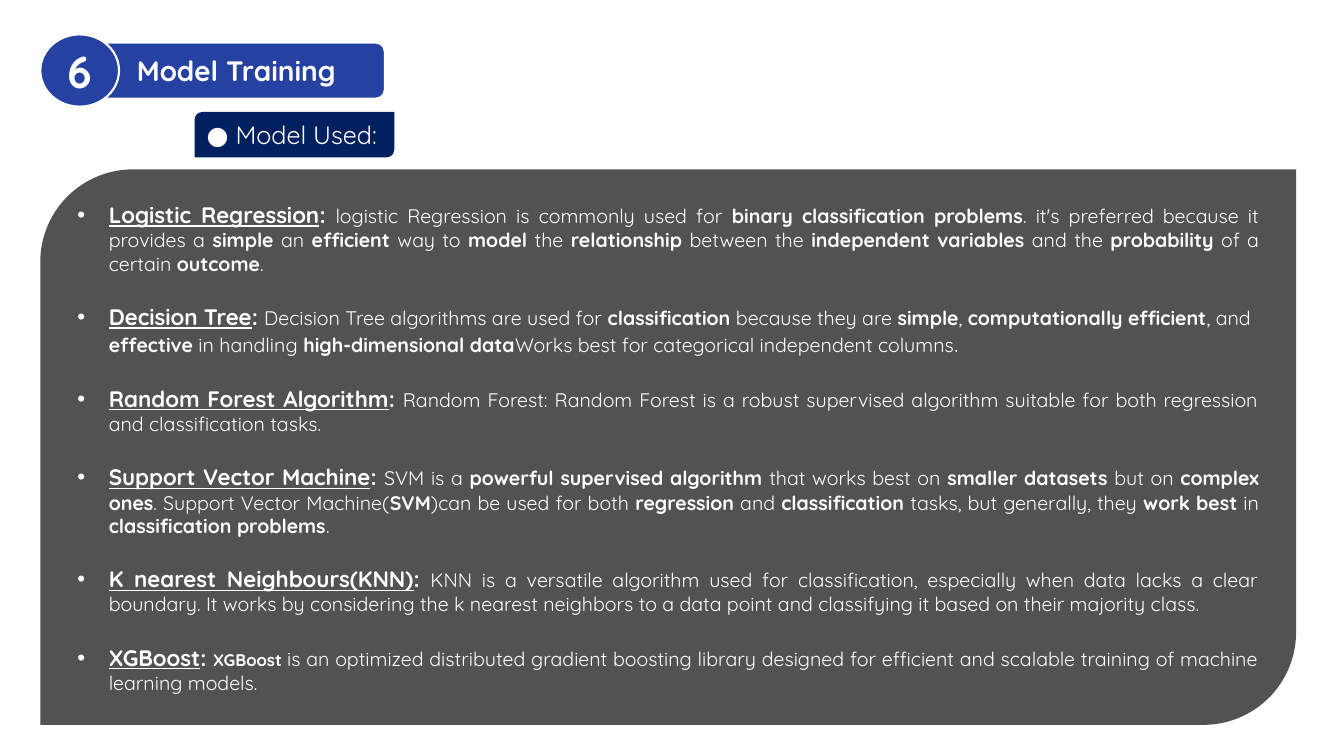
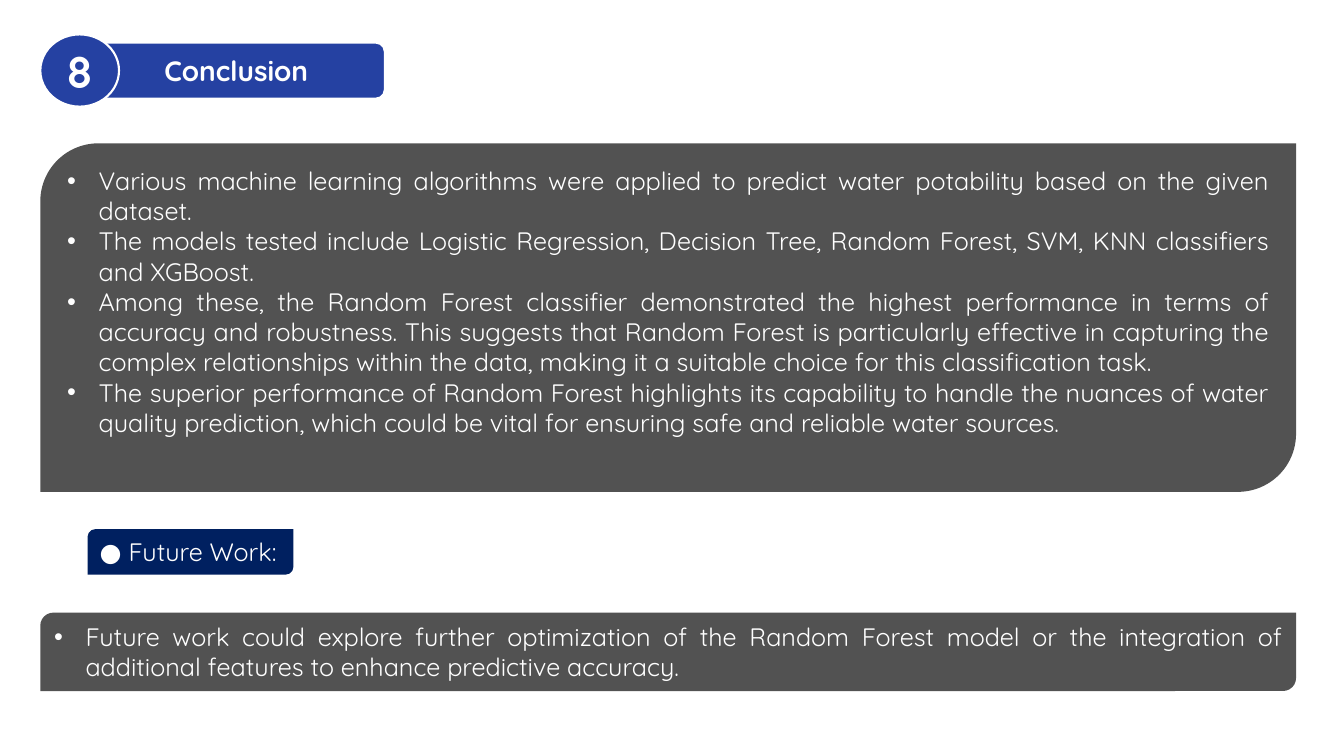
from pptx import Presentation
from pptx.dml.color import RGBColor
from pptx.enum.shapes import MSO_SHAPE
from pptx.enum.text import MSO_ANCHOR, PP_ALIGN
from pptx.oxml.ns import qn
from pptx.util import Pt
from lxml import etree

ROUND = MSO_SHAPE.ROUNDED_RECTANGLE
OVAL = MSO_SHAPE.OVAL
DIAGONAL = MSO_SHAPE.ROUND_2_DIAG_RECTANGLE
TOP, MIDDLE = MSO_ANCHOR.TOP, MSO_ANCHOR.MIDDLE
LEFT, CENTER, JUSTIFY = PP_ALIGN.LEFT, PP_ALIGN.CENTER, PP_ALIGN.JUSTIFY


def color(value):
    return RGBColor.from_string(value)


def set_values(target, values):
    for name, value in values.items():
        setattr(target, name, value)


class Deck:
    font = "Quicksand"
    white, blue, navy, gray = "FFFFFF", "2541A2", "002060", "525252"
    margin, panel_width = 28.8, 897
    indent = 22.5

    def __init__(self):
        self.presentation = Presentation()
        set_values(self.presentation, {"slide_width": Pt(960), "slide_height": Pt(540)})
        self.slide = None

    def add_slide(self, number, title):
        layout = self.presentation.slide_layouts[6]
        self.slide = self.presentation.slides.add_slide(layout)
        group = self.slide.shapes.add_group_shape()
        for kind, box, text, size in (
            (ROUND, (62.6, 30.4, 212.4, 40.2), title, 20),
            (OVAL, (self.margin, 24.6, 56.2, 51.6), number, 32),
        ):
            shape = self.shape(kind, box, self.blue, MIDDLE, group.shapes)
            shape.line.color.rgb = color(self.white)
            shape.line.width = Pt(1.5)
            paragraph = self.paragraph(shape, True, CENTER)
            self.run(paragraph, text, size, bold=True)

    def shape(self, kind, box, fill, anchor=TOP, shapes=None):
        shapes = shapes or self.slide.shapes
        shape = shapes.add_shape(kind, *map(Pt, box))
        shape.shadow.inherit = False
        shape.fill.solid()
        shape.fill.fore_color.rgb = color(fill)
        shape.line.fill.background()
        set_values(shape.text_frame, {"word_wrap": True, "vertical_anchor": anchor})
        return shape

    def paragraph(self, shape, first, alignment, gap=0):
        frame = shape.text_frame
        paragraph = frame.paragraphs[0] if first else frame.add_paragraph()
        set_values(paragraph, {"alignment": alignment, "space_after": Pt(gap)})
        return paragraph

    def run(self, paragraph, text, size, bold=False, underline=False):
        run = paragraph.add_run()
        run.text = text
        set_values(run.font, {"name": self.font, "size": Pt(size), "bold": bold,
                              "underline": underline})
        run.font.color.rgb = color(self.white)

    def bullet(self, paragraph):
        properties = paragraph._p.get_or_add_pPr()
        properties.set("marL", str(Pt(self.indent)))
        properties.set("indent", str(-Pt(self.indent)))
        etree.SubElement(properties, qn("a:buFont")).set("typeface", "Arial")
        etree.SubElement(properties, qn("a:buChar")).set("char", "•")

    def label(self, text, left, top, width):
        shape = self.shape(DIAGONAL, (left, top, width, 32.4), self.navy)
        self.run(self.paragraph(shape, True, LEFT), f"● {text}", 18)

    def panel(self, top, height, items, gap=0):
        box = (self.margin, top, self.panel_width, height)
        shape = self.shape(DIAGONAL, box, self.gray)
        for index, (heading, parts, alignment) in enumerate(items):
            paragraph = self.paragraph(shape, index == 0, alignment, gap)
            self.bullet(paragraph)
            if heading:
                self.run(paragraph, heading, 16, bold=True, underline=True)
                self.run(paragraph, ": ", 16, bold=True)
            for text, size in parts:
                for position, piece in enumerate(text.split("*")):
                    if piece:
                        self.run(paragraph, piece, size, bold=position % 2 == 1)


MODELS = [
    ("Logistic Regression", [(
        "logistic Regression is commonly used for *binary classification problems*. it's "
        "preferred because it provides a *simple* an *efficient* way to *model* the "
        "*relationship* between the *independent variables* and the *probability* of a "
        "certain *outcome*.", 14)], JUSTIFY),
    ("Decision Tree", [(
        "Decision Tree algorithms are used for *classification* because they are *simple*, "
        "*computationally efficient*, and *effective* in handling *high-dimensional data*"
        "Works best for categorical independent columns", 14), (".", 16)], LEFT),
    ("Random Forest Algorithm", [(
        "Random Forest: Random Forest is a robust supervised algorithm suitable for both "
        "regression and classification tasks.", 14)], JUSTIFY),
    ("Support Vector Machine", [(
        "SVM is a *powerful supervised algorithm* that works best on *smaller datasets* but "
        "on *complex ones*. Support Vector Machine(*SVM*)can be used for both *regression* "
        "and *classification *tasks, but generally, they *work best* in "
        "*classification problems*.", 14)], JUSTIFY),
    ("K nearest Neighbours(KNN)", [(
        "KNN is a versatile algorithm used for classification, especially when data lacks a "
        "clear boundary. It works by considering the k nearest neighbors to a data point and "
        "classifying it based on their majority class.", 14)], JUSTIFY),
    ("XGBoost", [("*XGBoost *", 12), (
        "is an optimized distributed gradient boosting library designed for efficient and "
        "scalable training of machine learning models.", 14)], JUSTIFY),
]

CONCLUSIONS = [
    "Various machine learning algorithms were applied to predict water potability based on "
    "the given dataset.",
    "The models tested include Logistic Regression, Decision Tree, Random Forest, SVM, KNN "
    "classifiers and XGBoost.",
    "Among these, the Random Forest classifier demonstrated the highest performance in terms "
    "of accuracy and robustness. This suggests that Random Forest is particularly effective "
    "in capturing the complex relationships within the data, making it a suitable choice for "
    "this classification task.",
    "The superior performance of Random Forest highlights its capability to handle the "
    "nuances of water quality prediction, which could be vital for ensuring safe and "
    "reliable water sources.",
]

FUTURE_WORK = [
    "Future work could explore further optimization of the Random Forest model or the "
    "integration of additional features to enhance predictive accuracy.",
]


def plain_items(texts):
    return [(None, [(text, 18)], JUSTIFY) for text in texts]


def main():
    deck = Deck()

    deck.add_slide("6", "Model Training")
    deck.panel(121, 396.8, MODELS, gap=20)
    deck.label("Model Used:", 139, 80, 142.6)

    deck.add_slide("8", "Conclusion")
    deck.panel(102.4, 249, plain_items(CONCLUSIONS))
    deck.label("Future Work:", 62.6, 378, 147)
    deck.panel(437.6, 56, plain_items(FUTURE_WORK))

    deck.presentation.save("out.pptx")


if __name__ == "__main__":
    main()
